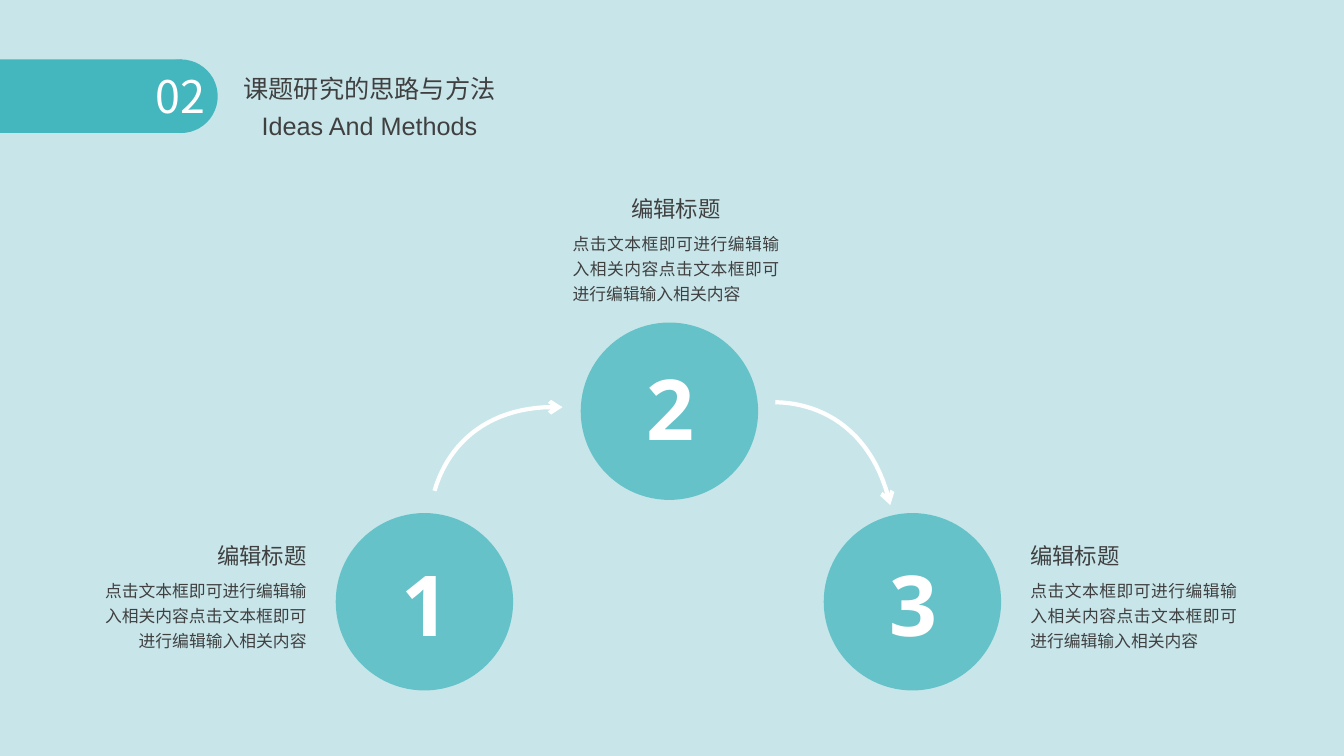
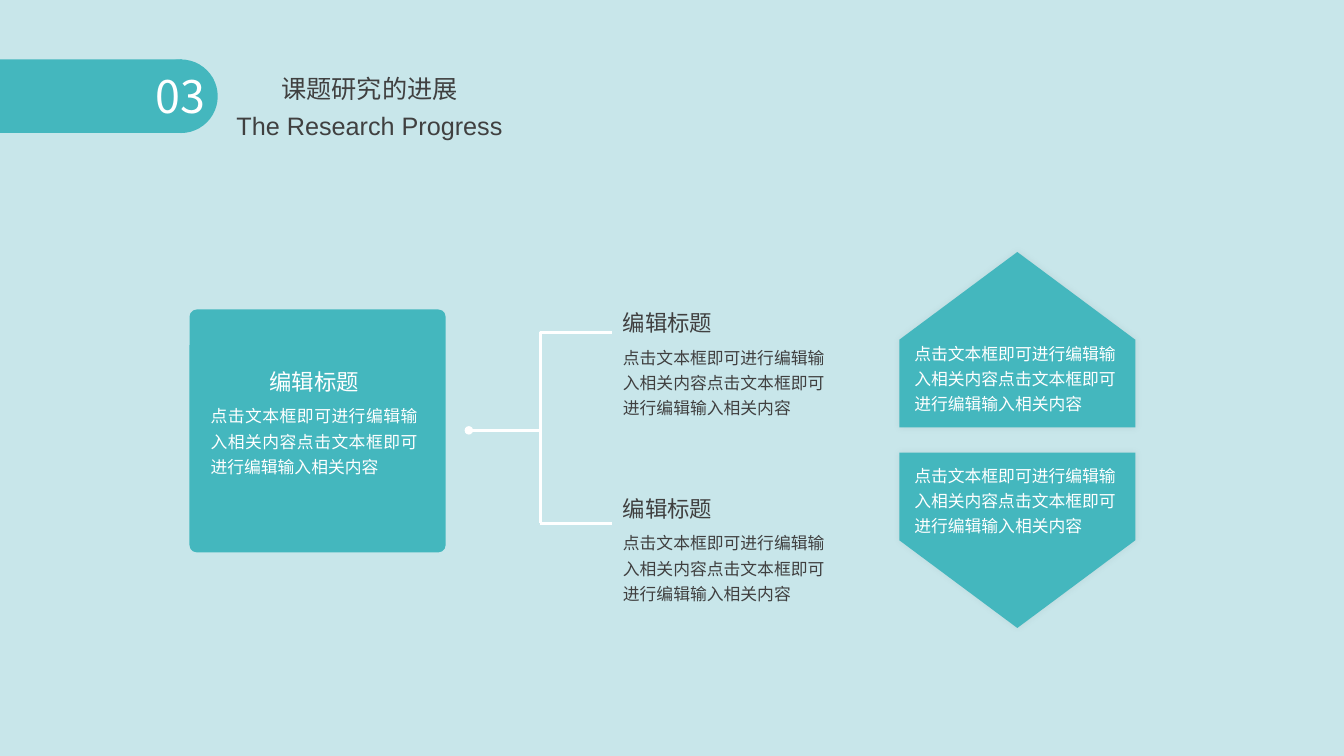
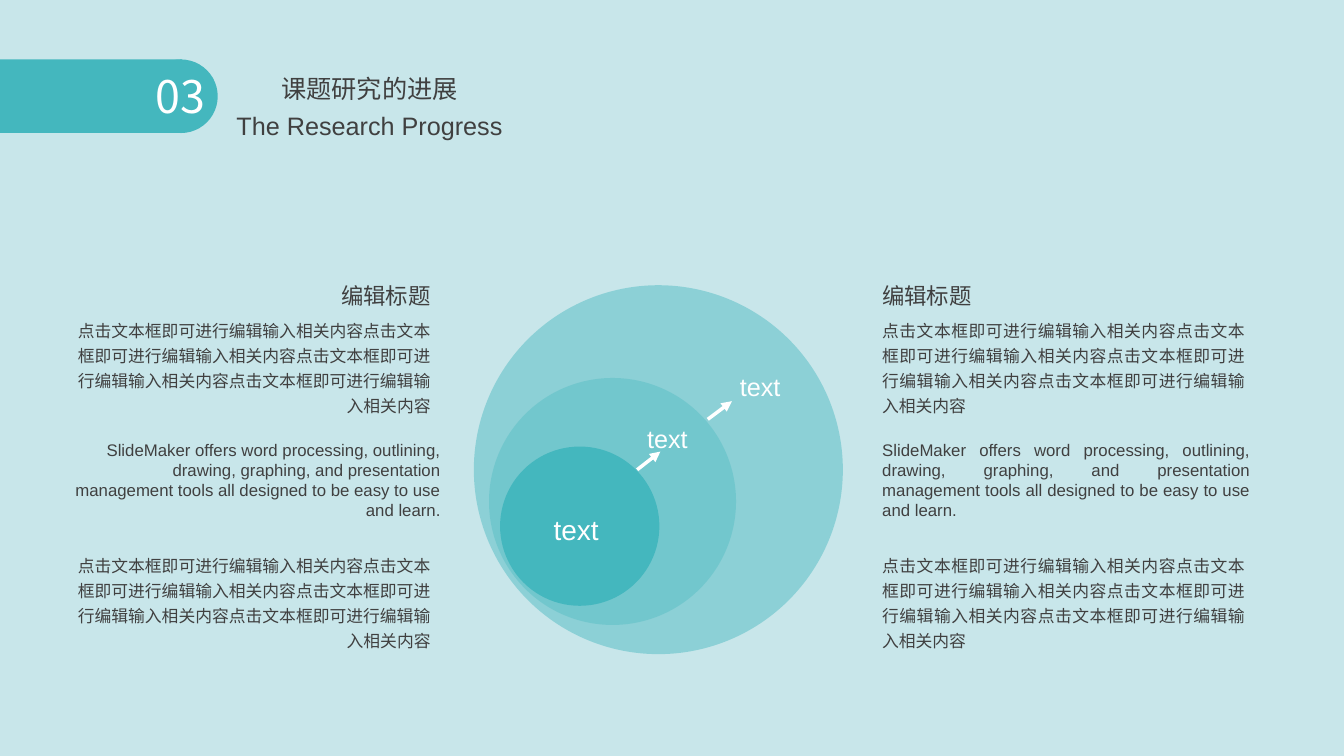
from pptx import Presentation
from pptx.dml.color import RGBColor
from pptx.enum import shapes, text
from pptx.oxml import ns, xmlchemy
from pptx.util import Inches, Pt

PALE = RGBColor(0xC8, 0xE6, 0xEA)
TEAL = RGBColor(0x44, 0xB7, 0xBE)
DARK = RGBColor(0x40, 0x40, 0x40)
WHITE = RGBColor(0xFF, 0xFF, 0xFF)
HAN = "Noto Sans CJK SC"
LATIN = "Arial"
KIND = shapes.MSO_SHAPE
LINK = shapes.MSO_CONNECTOR
LEFT, MID, RIGHT, JUST = (text.PP_ALIGN.LEFT, text.PP_ALIGN.CENTER,
                          text.PP_ALIGN.RIGHT, text.PP_ALIGN.JUSTIFY)
HEAD = "编辑标题"
BODY = "点击文本框即可进行编辑输入相关内容" * 2
ENGLISH = ("SlideMaker offers word processing, outlining, drawing, graphing, "
           "and presentation management tools all designed to be easy to use "
           "and learn.")


def put(slide, kind, at, alpha=100):
    """Add a teal shape without outline, at an opacity in percent."""
    shape = slide.shapes.add_shape(kind, *map(Inches, at))
    shape.shadow.inherit = False
    shape.fill.solid()
    shape.fill.fore_color.rgb = TEAL
    shape.line.fill.background()
    if alpha < 100:
        tone = shape._element.spPr.find(".//" + ns.qn("a:srgbClr"))
        xmlchemy.OxmlElement("a:alpha")
        fade = xmlchemy.OxmlElement("a:alpha")
        fade.set("val", str(alpha * 1000))
        tone.append(fade)
    return shape


def write(slide, at, words, size, colour=DARK, align=LEFT, font=HAN,
          spacing=1.0, inset=True, bold=False, title=False):
    """Put one paragraph in a text box, or in the title placeholder."""
    box = slide.shapes.title if title else slide.shapes.add_textbox(0, 0, 0, 0)
    box.left, box.top, box.width, box.height = map(Inches, at)
    frame = box.text_frame
    frame.text = words
    frame.word_wrap = True
    frame.auto_size = text.MSO_AUTO_SIZE.SHAPE_TO_FIT_TEXT
    frame.vertical_anchor = text.MSO_ANCHOR.TOP
    if not inset:
        frame.margin_left = frame.margin_right = 0
        frame.margin_top = frame.margin_bottom = 0
    para = frame.paragraphs[0]
    para.alignment = align
    para.line_spacing = spacing
    run = para.runs[0]
    run.font.size = Pt(size)
    run.font.bold = bold
    run.font.name = font
    run.font.color.rgb = colour
    east = xmlchemy.OxmlElement("a:ea")
    east.set("typeface", font)
    run._r.get_or_add_rPr().append(east)


prs = Presentation()
prs.slide_width, prs.slide_height = Inches(13.33), Inches(7.5)
ground = prs.slide_master.background.fill
ground.solid()
ground.fore_color.rgb = PALE

# Numbered band and two-language title on every slide
pages = []
for number, title, english in [
        ("02", "课题研究的思路与方法", "Ideas And Methods"),
        ("03", "课题研究的进展", "The Research Progress"),
        ("03", "课题研究的进展", "The Research Progress")]:
    page = prs.slides.add_slide(prs.slide_layouts[5])
    put(page, KIND.RECTANGLE, (0, 0.59, 1.81, 0.73))
    put(page, KIND.OVAL, (1.43, 0.59, 0.73, 0.73))
    write(page, (1.31, 0.63, 0.96, 0.64), number, 32, WHITE, MID)
    write(page, (2.2, 0.38, 2.93, 0.62), title, 18, align=MID, spacing=2.0,
          title=True)
    write(page, (0.92, 1.05, 5.49, 0.4), english, 18, align=MID, font=LATIN)
    pages.append(page)
steps, tree, rings = pages
lines = []  # (line, width, end tag, end style)

# Three steps joined by curved arrows
for number, left, top, drop in [("1", 3.33, 5.09, 0.39),
                                ("2", 5.76, 3.2, 0.34),
                                ("3", 8.17, 5.09, 0.39)]:
    put(steps, KIND.OVAL, (left, top, 1.76, 1.76), 75)
    write(steps, (left + 0.34, top + drop, 1.09, 1.01), number, 60, WHITE,
          MID, "Open Sans", inset=False, bold=True)

for curve in [((4.31, 4.87), (4.45, 4.39), (4.86, 4.01), (5.58, 4.04)),
              ((7.69, 3.99), (8.19, 4), (8.67, 4.3), (8.83, 5.01))]:
    points = []
    for step in range(25):
        t = step / 24
        parts = ((1 - t) ** 3, 3 * t * (1 - t) ** 2, 3 * t * t * (1 - t), t ** 3)
        points.append([Inches(sum(k * p[axis] for k, p in zip(parts, curve)))
                       for axis in (0, 1)])
    maker = steps.shapes.build_freeform(*points[0])
    maker.add_line_segments(points[1:], close=False)
    arc = maker.convert_to_shape()
    arc.fill.background()
    lines.append((arc, 3, "a:tailEnd", "arrow"))

# Card, fork and two pointed panels
card = put(tree, KIND.ROUNDED_RECTANGLE, (1.88, 3.07, 2.54, 2.41))
card.adjustments[0] = 0.03

for kind, ends, tag in [(LINK.ELBOW, (4.65, 4.27, 6.07, 3.3), "a:headEnd"),
                        (LINK.STRAIGHT, (5.36, 4.27, 5.36, 5.19), None),
                        (LINK.STRAIGHT, (5.36, 5.19, 6.07, 5.19), None)]:
    link = tree.shapes.add_connector(kind, *map(Inches, ends))
    lines.append((link, 2, tag, "oval"))

for top, turn, words in [(2.2, 270, 3.31), (4.19, 90, 4.52)]:
    panel = put(tree, KIND.PENTAGON, (9.22, top, 1.74, 2.34))
    panel.rotation = turn
    glow = xmlchemy.OxmlElement("a:outerShdw")
    glow.set("blurRad", str(Pt(5)))
    tone = xmlchemy.OxmlElement("a:srgbClr")
    tone.set("val", "000000")
    fade = xmlchemy.OxmlElement("a:alpha")
    fade.set("val", "5000")
    tone.append(fade)
    glow.append(tone)
    panel._element.spPr.find(ns.qn("a:effectLst")).append(glow)
    write(tree, (8.97, words, 2.25, 0.86), BODY, 12, WHITE, spacing=1.25)

# Nested circles with arrows pointing outwards
for left, top, size, alpha in [(4.7, 2.83, 3.66, 45), (4.85, 3.75, 2.45, 35),
                               (4.96, 4.43, 1.58, 100)]:
    put(rings, KIND.OVAL, (left, top, size, size), alpha)
for ends in [(6.32, 4.66, 6.55, 4.48), (7.02, 4.16, 7.26, 3.98)]:
    link = rings.shapes.add_connector(LINK.STRAIGHT, *map(Inches, ends))
    lines.append((link, 2.5, "a:tailEnd", "triangle"))
for at, size in [((4.96, 5.08, 1.51, 0.27), 20), ((6.96, 3.68, 1.16, 0.24), 18),
                 ((6.14, 4.2, 0.96, 0.24), 18)]:
    write(rings, at, "text", size, WHITE, MID, LATIN, inset=False)
for left, wide, align in [(8.75, 8.65, JUST), (0.72, 0.57, RIGHT)]:
    write(rings, (left, 4.36, 3.65, 0.81), ENGLISH, 12, align=align,
          font=LATIN, inset=False)
    write(rings, (wide, 5.41, 3.8, 1.11), BODY * 2, 12, align=align,
          spacing=1.25)

# Heading with body text below it
for page, left, top, width, align, flow, colour, body in [
        (steps, 10.12, 5.33, 2.25, LEFT, JUST, DARK, BODY),
        (steps, 0.89, 5.33, 2.25, RIGHT, RIGHT, DARK, BODY),
        (steps, 5.58, 1.89, 2.25, MID, JUST, DARK, BODY),
        (tree, 1.99, 3.6, 2.25, MID, JUST, WHITE, BODY),
        (tree, 6.08, 3.02, 2.25, LEFT, LEFT, DARK, BODY),
        (tree, 6.08, 4.86, 2.25, LEFT, LEFT, DARK, BODY),
        (rings, 8.65, 2.75, 3.8, LEFT, JUST, DARK, BODY * 2),
        (rings, 0.57, 2.75, 3.8, RIGHT, RIGHT, DARK, BODY * 2)]:
    shift = (width - 1.49) * {LEFT: 0, MID: 0.5, RIGHT: 1}[align]
    write(page, (left + shift, top, 1.49, 0.37), HEAD, 16, colour, align)
    write(page, (left, top + 0.33, width, 0.86), body, 12, colour, flow,
          spacing=1.25)

for line, width, tag, style in lines:
    line.line.color.rgb = WHITE
    line.line.width = Pt(width)
    props = line._element.spPr
    if tag:
        end = xmlchemy.OxmlElement(tag)
        end.set("type", style)
        props.find(ns.qn("a:ln")).append(end)
    props.append(xmlchemy.OxmlElement("a:effectLst"))

prs.save("out.pptx")
